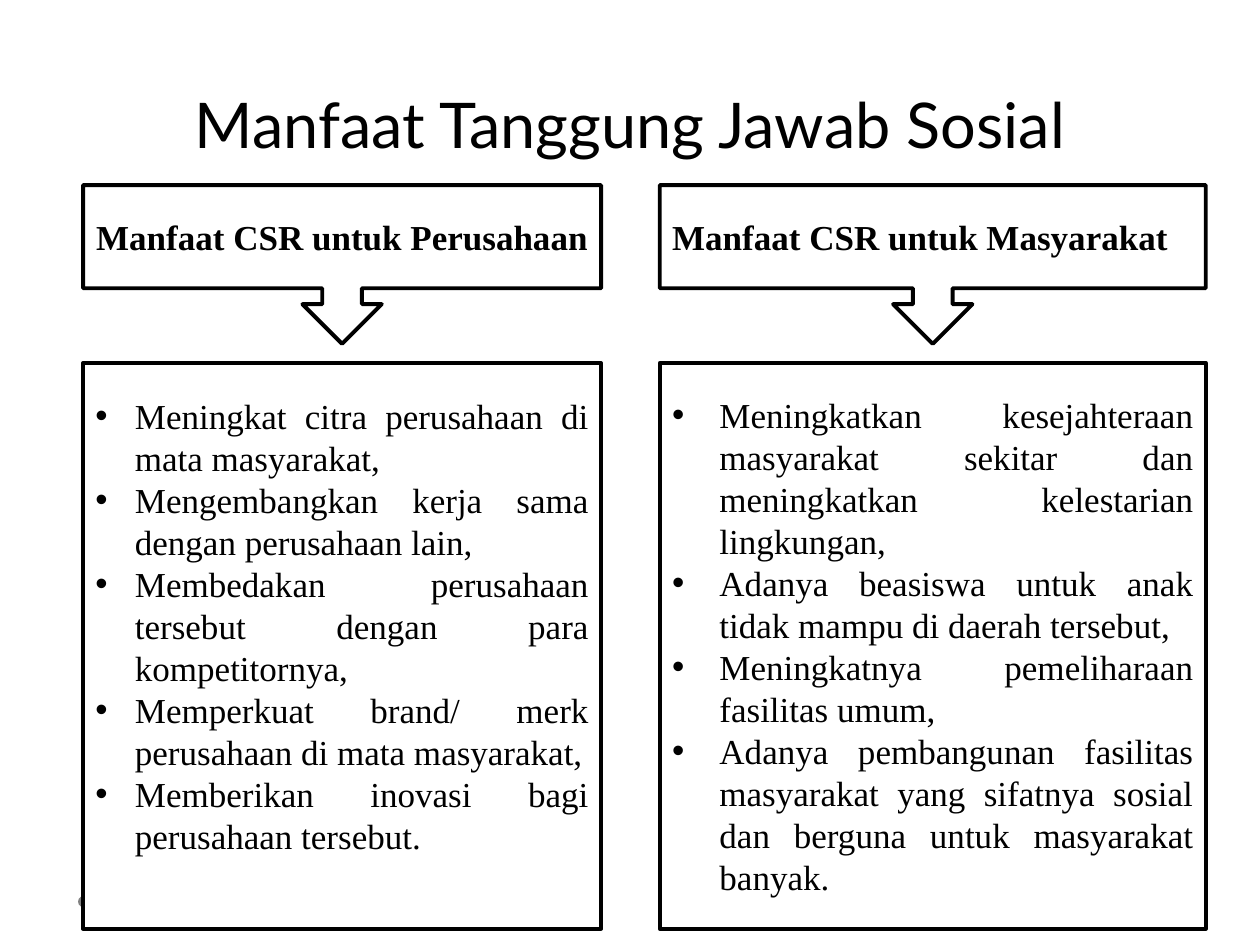
from lxml import etree
from pptx import Presentation
from pptx.dml.color import RGBColor
from pptx.enum.shapes import MSO_SHAPE
from pptx.enum.text import MSO_ANCHOR, PP_ALIGN
from pptx.oxml.ns import qn
from pptx.util import Pt

CALLOUT, RECT, OVAL = MSO_SHAPE.DOWN_ARROW_CALLOUT, MSO_SHAPE.RECTANGLE, MSO_SHAPE.OVAL
MIDDLE, BOTTOM = MSO_ANCHOR.MIDDLE, MSO_ANCHOR.BOTTOM
LEFT, CENTER, JUSTIFY = PP_ALIGN.LEFT, PP_ALIGN.CENTER, PP_ALIGN.JUSTIFY

COLORS = {"paper": "FFFFFF", "ink": "000000", "dot": "808080"}

# left, width, heading, heading alignment, bullet indent, bottom inset, bullets
COLUMNS = [
    (47.5, 296, "Manfaat CSR untuk Perusahaan", CENTER, 22.5, 27, [
        "Meningkat citra perusahaan di mata masyarakat,",
        "Mengembangkan kerja sama dengan perusahaan lain,",
        "Membedakan perusahaan tersebut dengan para kompetitornya,",
        "Memperkuat brand/ merk perusahaan di mata masyarakat,",
        "Memberikan inovasi bagi perusahaan tersebut.",
    ]),
    (377, 312, "Manfaat CSR untuk Masyarakat", LEFT, 27, 3.6, [
        "Meningkatkan kesejahteraan masyarakat sekitar dan meningkatkan "
        "kelestarian lingkungan,",
        "Adanya beasiswa untuk anak tidak mampu di daerah tersebut,",
        "Meningkatnya pemeliharaan fasilitas umum,",
        "Adanya pembangunan fasilitas masyarakat yang sifatnya sosial dan "
        "berguna untuk masyarakat banyak.",
    ]),
]


def write(p, text, font="Times New Roman", size=20, bold=False, align=LEFT,
          indent=None, spacing=None):
    if indent:
        pPr = p._p.get_or_add_pPr()
        pPr.set("marL", str(Pt(indent)))
        pPr.set("indent", str(-Pt(indent)))
        etree.SubElement(pPr, qn("a:buFont"), typeface="Arial")
        etree.SubElement(pPr, qn("a:buChar"), char="•")
    p.alignment = align
    if spacing:
        p.line_spacing = Pt(spacing)
    r = p.add_run()
    r.text = text
    r.font.name, r.font.size, r.font.bold = font, Pt(size), bold
    r.font.color.rgb = RGBColor.from_string(COLORS["ink"])


class Deck:
    def __init__(self, width, height):
        self.prs = Presentation()
        self.prs.slide_width, self.prs.slide_height = Pt(width), Pt(height)
        self.slide = self.prs.slides.add_slide(self.prs.slide_layouts[5])

    def title(self, text, x, y, w, h):
        sp = self.slide.shapes.title
        sp.left, sp.top, sp.width, sp.height = Pt(x), Pt(y), Pt(w), Pt(h)
        tf = sp.text_frame
        tf.vertical_anchor = BOTTOM
        tf.margin_top = tf.margin_bottom = 0
        write(tf.paragraphs[0], text, font="Lato", size=36, align=CENTER, spacing=58)

    def shape(self, kind, x, y, w, h, fill="paper", line=2.25):
        sp = self.slide.shapes.add_shape(kind, Pt(x), Pt(y), Pt(w), Pt(h))
        sp.shadow.inherit = False
        sp.fill.solid()
        sp.fill.fore_color.rgb = RGBColor.from_string(COLORS[fill])
        if line:
            sp.line.color.rgb = RGBColor.from_string(COLORS["ink"])
            sp.line.width = Pt(line)
        else:
            sp.line.fill.background()
        return sp

    def text_shape(self, kind, x, y, w, h, texts, bottom=3.6, **fmt):
        tf = self.shape(kind, x, y, w, h).text_frame
        tf.word_wrap = True
        tf.vertical_anchor = MIDDLE
        tf.margin_bottom = Pt(bottom)
        for i, text in enumerate(texts):
            write(tf.add_paragraph() if i else tf.paragraphs[0], text, **fmt)


def main():
    deck = Deck(720, 540)

    # Footer dot and title
    deck.shape(OVAL, 44.6, 512, 6.5, 6.5, fill="dot", line=None)
    deck.title("Manfaat Tanggung Jawab Sosial", 36, 37.5, 648, 54.7)

    # Two columns: heading callout above a bullet panel
    for x, w, heading, align, indent, bottom, bullets in COLUMNS:
        deck.text_shape(CALLOUT, x, 105.8, w, 90.7, [heading], bold=True, align=align)
        deck.text_shape(RECT, x, 207.4, w, 323.3, bullets, bottom=bottom,
                        align=JUSTIFY, indent=indent)

    deck.prs.save("out.pptx")


if __name__ == "__main__":
    main()
